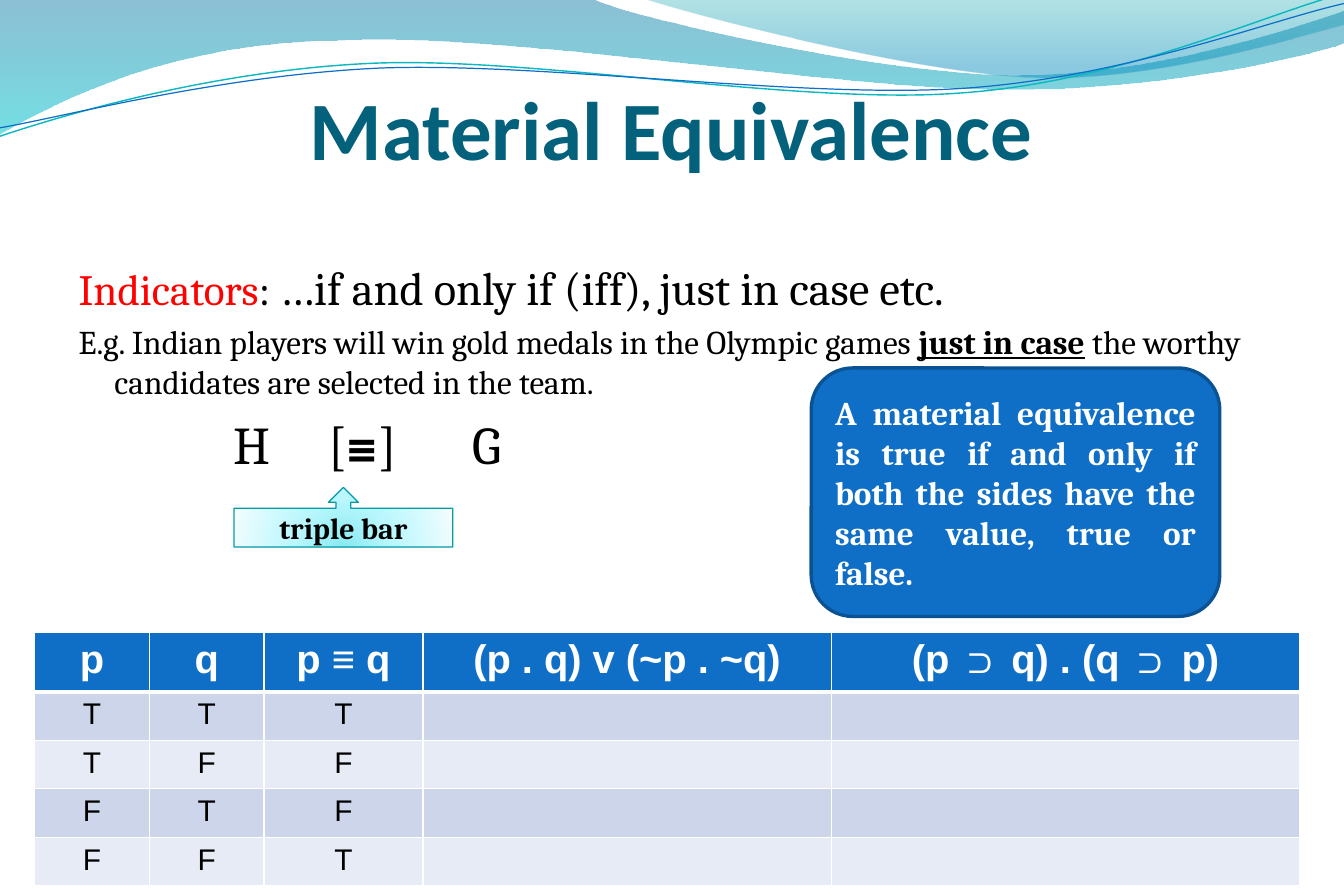
"""Build the Material Equivalence slide."""
from dataclasses import dataclass, field
from typing import Any

import pptx
import pptx.dml.color
import pptx.enum.shapes
import pptx.enum.text
import pptx.oxml
import pptx.oxml.ns
import pptx.util

RGB = pptx.dml.color.RGBColor
Pt = pptx.util.Pt
ALIGN = pptx.enum.text.PP_ALIGN
ANCHOR = pptx.enum.text.MSO_ANCHOR
SHAPE = pptx.enum.shapes.MSO_SHAPE
SPACE = pptx.oxml.ns.nsdecls("a")
SCALE = 9144

WHITE = RGB(0xFF, 0xFF, 0xFF)
BLACK = RGB(0, 0, 0)
RED = RGB(0xFF, 0, 0)
BLUE = RGB(0x0F, 0x6F, 0xC6)
NAVY = RGB(0x0B, 0x52, 0x92)
TITLE = RGB(0x04, 0x61, 0x7B)
AQUA = RGB(0x0A, 0xB8, 0xBF)
TEAL = RGB(0x06, 0x9C, 0xA3)
BANDS = (RGB(0xCC, 0xD5, 0xEA), RGB(0xE7, 0xEB, 0xF5))

DOWN = '<a:lin ang="5400000" scaled="0"/>'
ROUND = '<a:path path="circle"><a:fillToRect l="50000" t="130000" r="50000" b="-30000"/></a:path>'
MIDDLE = {"word_wrap": True, "vertical_anchor": ANCHOR.MIDDLE}
HEAD = {"size": Pt(24), "name": "Arial", "bold": True}
CELL = {"size": Pt(18), "name": "Arial", "bold": False}


@dataclass
class Run:
    """A piece of text in one format, with letter spacing in points."""
    text: str
    form: dict[str, Any]
    ink: RGB = BLACK
    gap: float = 0


@dataclass
class Para:
    """A paragraph with its layout."""
    runs: list[Run]
    form: dict[str, Any] = field(default_factory=dict)
    hang: int = 0


@dataclass
class Wave:
    """An outline of lines (two numbers) and curves (six numbers)."""
    nodes: list[tuple[int, ...]]
    stops: tuple[tuple[int, RGB, int], ...] = ()
    line: RGB | None = None
    width: float = 0


def px(count: float) -> int:
    """Turn px into EMU."""
    return round(count * SCALE)


def apply(target: Any, form: dict[str, Any]) -> None:
    """Set each named value on the target."""
    for name, value in form.items():
        setattr(target, name, value)


def serif(size: int, **more: Any) -> dict[str, Any]:
    """Give the format of Cambria text."""
    return {"size": Pt(size), "name": "Cambria", **more}


def write(frame: Any, paras: list[Para], form: dict[str, Any]) -> None:
    """Fill a text frame."""
    apply(frame, form)
    for index, para in enumerate(paras):
        item = frame.add_paragraph() if index else frame.paragraphs[0]
        apply(item, para.form)
        props = item._p.get_or_add_pPr()
        props.set("marL", str(px(para.hang)))
        props.set("indent", str(px(-para.hang)))
        props.set("defTabSz", str(px(100)))
        for run in para.runs:
            part = item.add_run()
            part.text = run.text
            apply(part.font, run.form)
            part.font.color.rgb = run.ink
            if run.gap:
                part._r.get_or_add_rPr().set("spc", str(round(run.gap * 100)))


def blend(shape: Any, stops: tuple[tuple[int, RGB, int], ...], course: str) -> None:
    """Give a shape a gradient of (place, colour, opacity) stops."""
    shape.fill.gradient()
    grad = shape._element.spPr.find(pptx.oxml.ns.qn("a:gradFill"))
    for child in list(grad):
        grad.remove(child)
    marks = "".join(
        f'<a:gs pos="{place * 1000}"><a:srgbClr val="{ink}"><a:alpha val="{alpha * 1000}"/>'
        f"</a:srgbClr></a:gs>" for place, ink, alpha in stops)
    whole = pptx.oxml.parse_xml(f"<a:gradFill {SPACE}><a:gsLst>{marks}</a:gsLst>{course}</a:gradFill>")
    for child in list(whole):
        grad.append(child)


def edge(shape: Any, ink: RGB | None, width: float) -> None:
    """Set the outline and drop the shadow."""
    shape.shadow.inherit = False
    if ink is None:
        shape.line.fill.background()
    else:
        shape.line.color.rgb = ink
        shape.line.width = Pt(width)


def bend(shape: Any, nodes: list[tuple[int, ...]]) -> None:
    """Join each three segments of a curve node into one Bézier."""
    qn = pptx.oxml.ns.qn
    legs = iter(list(shape._element.iter(qn("a:lnTo"))))
    for node in nodes[1:]:
        group = [next(legs) for _ in range(len(node) // 2)]
        if len(group) == 3:
            curve = pptx.oxml.parse_xml(f"<a:cubicBezTo {SPACE}/>")
            group[0].addprevious(curve)
            for leg in group:
                curve.append(leg[0])
                leg.getparent().remove(leg)


def draw(shapes: Any, wave: Wave) -> None:
    """Draw a wave."""
    points = [(px(node[i]), px(node[i + 1])) for node in wave.nodes for i in range(0, len(node), 2)]
    pen = shapes.build_freeform(*points[0])
    pen.add_line_segments(points[1:], close=bool(wave.stops))
    shape = pen.convert_to_shape()
    bend(shape, wave.nodes)
    edge(shape, wave.line, wave.width)
    if wave.stops:
        blend(shape, wave.stops, DOWN)
    else:
        shape.fill.background()


def chart(shapes: Any, rows: list[tuple[str, ...]], widths: tuple[int, ...]) -> None:
    """Draw the truth table."""
    frame = shapes.add_table(len(rows), len(widths), px(29), px(529), px(sum(widths)), px(203))
    table = frame.table
    for column, width in zip(table.columns, widths):
        column.width = px(width)
    for r, row in enumerate(rows):
        for c, text in enumerate(row):
            cell = table.cell(r, c)
            props = cell._tc.get_or_add_tcPr()
            for side in "LRTB":
                thick = 3 if (r, side) in ((0, "B"), (1, "T")) else 1
                props.append(pptx.oxml.parse_xml(
                    f'<a:ln{side} {SPACE} w="{Pt(thick)}"><a:solidFill>'
                    f'<a:srgbClr val="{WHITE}"/></a:solidFill></a:ln{side}>'))
            cell.fill.solid()
            cell.fill.fore_color.rgb = BANDS[(r - 1) % 2] if r else BLUE
            if text:
                run = Run(text, CELL if r else HEAD, BLACK if r else WHITE)
                write(cell.text_frame, [Para([run], {"alignment": ALIGN.CENTER})], {})


WAVES = [
    Wave([(0, -1), (495, -1), (535, 17, 746, 63, 853, 63), (960, 63, 1078, 26, 1125, 9),
          (1126, 36), (1106, 44, 979, 76, 839, 75), (700, 75, 429, 28, 289, 34),
          (145, 35, 52, 83, -1, 113)],
         ((0, RGB(0, 0x74, 0xA1), 45), (100, RGB(0, 0xC6, 0xCF), 55))),
    Wave([(539, -1), (573, 11, 767, 62, 865, 65), (963, 69, 1082, 32, 1125, 21), (1125, 0)],
         ((0, RGB(0, 0xA1, 0xA9), 30), (80, RGB(0, 0x8B, 0xBF), 45))),
    Wave([(0, 114), (54, 96, 178, 59, 311, 53), (445, 47, 666, 88, 802, 78),
          (937, 69, 1056, 13, 1123, -5)], line=AQUA, width=0.85),
    Wave([(0, 107), (53, 98, 184, 63, 319, 57), (453, 52, 672, 83, 806, 74),
          (941, 65, 1059, 18, 1125, 3)], line=BLUE, width=0.75),
]
BODY = [
    Para([Run("Indicators", serif(26), RED), Run(": ", serif(26)),
          Run("…if and only if (iff), just in case etc.", serif(28))], hang=30),
    Para([Run("E.g. Indian players will win gold medals in the Olympic games ", serif(20)),
          Run("just in case", serif(20, bold=True, underline=True)),
          Run(" the worthy candidates are selected in the team.", serif(20))],
         {"space_before": Pt(4)}, 30),
    Para([Run("\t\tH", serif(32)), Run(" ", serif(32), gap=27.5), Run("[", serif(32)),
          Run("≡", serif(32, bold=True)), Run("]\tG", serif(32))],
         {"space_before": Pt(6)}, 30),
]
ROWS = [("p", "q", "p ≡ q", "(p . q) v (~p . ~q)", "(p ⊃ q) . (q ⊃ p)"),
        *((*values, "", "") for values in ("TTT", "TFF", "FTF", "FFT"))]
RULE = "A material equivalence is true if and only if both the sides have the same value, true or false."
GLOW = ((0, RGB(0x8B, 0xE9, 0xF1), 100), (43, RGB(0xB9, 0xF7, 0xFD), 100),
        (93, RGB(0xEA, 0xFC, 0xFE), 100), (100, RGB(0xF8, 0xFE, 0xFF), 100))


def main() -> None:
    """Build and save the slide."""
    deck = pptx.Presentation()
    apply(deck, {"slide_width": px(1125), "slide_height": px(750)})
    shapes = deck.slides.add_slide(deck.slide_layouts[6]).shapes
    for wave in WAVES:
        draw(shapes, wave)
    title = shapes.add_textbox(px(56), px(42), px(1012), px(125))
    name = Run("Material Equivalence", {"size": Pt(50), "name": "Calibri", "bold": True}, TITLE)
    write(title.text_frame, [Para([name], {"alignment": ALIGN.CENTER})],
          {**MIDDLE, "margin_left": 0, "margin_right": 0, "margin_bottom": 0})
    body = shapes.add_textbox(px(56), px(212), px(1012), px(480))
    write(body.text_frame, BODY, {"word_wrap": True})
    chart(shapes, ROWS, (96, 96, 133, 342, 392))
    note = shapes.add_shape(SHAPE.ROUNDED_RECTANGLE, px(679), px(308), px(342), px(208))
    edge(note, NAVY, 2)
    note.fill.solid()
    note.fill.fore_color.rgb = BLUE
    rule = Run(RULE, serif(20, bold=True), WHITE)
    write(note.text_frame, [Para([rule], {"alignment": ALIGN.JUSTIFY})], MIDDLE)
    label = shapes.add_shape(SHAPE.UP_ARROW_CALLOUT, px(196), px(408), px(183), px(50))
    edge(label, TEAL, 0.75)
    blend(label, GLOW, ROUND)
    bar = Run("triple bar", serif(18, bold=True))
    write(label.text_frame, [Para([bar], {"alignment": ALIGN.CENTER})], MIDDLE)
    deck.save("out.pptx")


if __name__ == "__main__":
    main()
